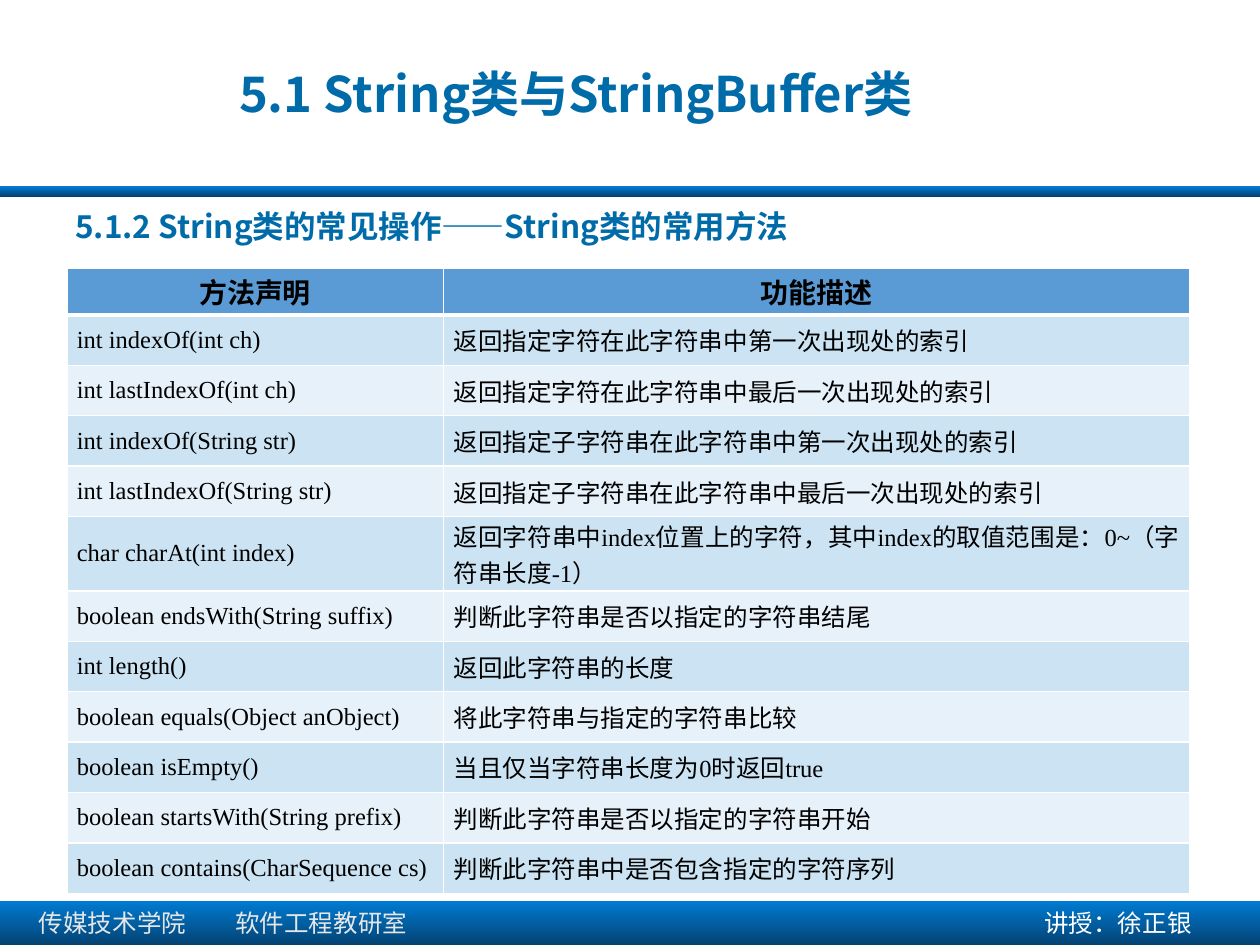
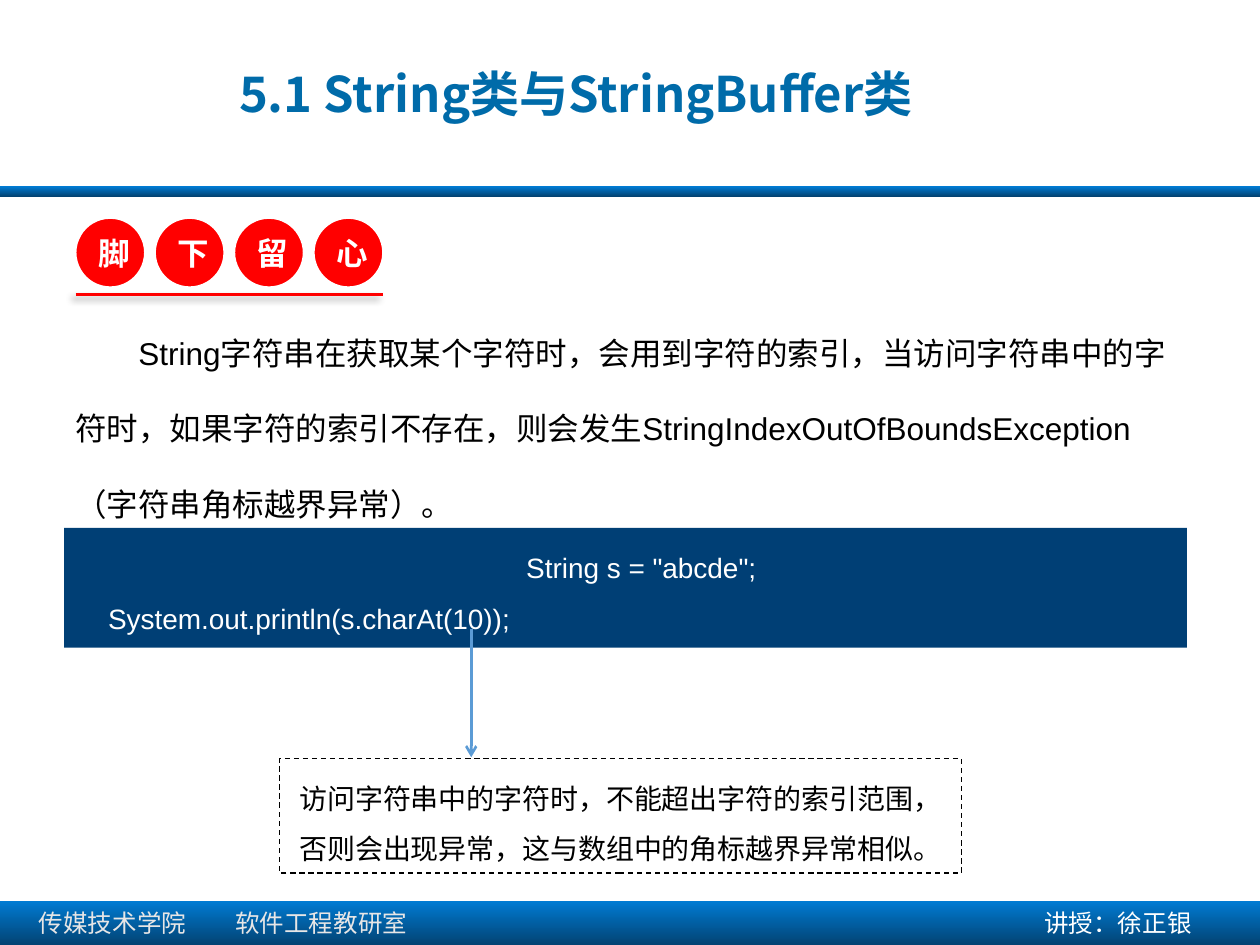
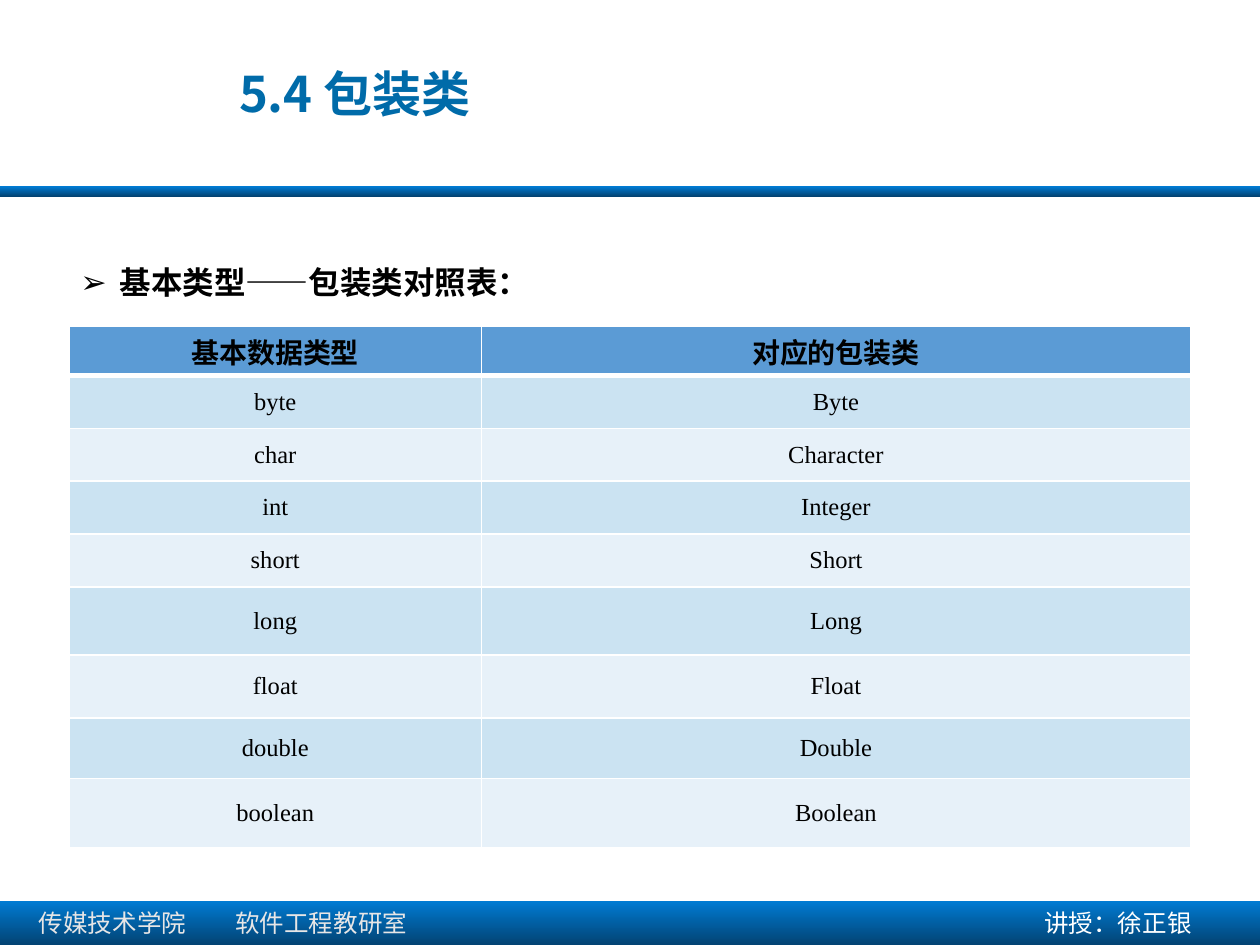
from lxml import etree
from pptx import Presentation
from pptx.dml.color import RGBColor
from pptx.enum.dml import MSO_LINE
from pptx.enum.shapes import MSO_CONNECTOR, MSO_SHAPE
from pptx.enum.text import MSO_ANCHOR, MSO_AUTO_SIZE, PP_ALIGN
from pptx.oxml.ns import qn
from pptx.util import Inches, Pt

RECT, OVAL = MSO_SHAPE.RECTANGLE, MSO_SHAPE.OVAL
STRAIGHT, DASH = MSO_CONNECTOR.STRAIGHT, MSO_LINE.DASH
TOP, MIDDLE = MSO_ANCHOR.TOP, MSO_ANCHOR.MIDDLE
CENTER, JUSTIFY = PP_ALIGN.CENTER, PP_ALIGN.JUSTIFY
GROW, FIXED = MSO_AUTO_SIZE.SHAPE_TO_FIT_TEXT, MSO_AUTO_SIZE.NONE

BLACK = RGBColor(0x00, 0x00, 0x00)
WHITE = RGBColor(0xFF, 0xFF, 0xFF)
SILVER = RGBColor(0xE7, 0xE6, 0xE6)
RED = RGBColor(0xFF, 0x00, 0x00)
TITLE_BLUE = RGBColor(0x00, 0x6B, 0xA9)
BAND_TOP = RGBColor(0x00, 0x7B, 0xD3)
BAND_BOTTOM = RGBColor(0x03, 0x43, 0x73)
CODE_BLUE = RGBColor(0x00, 0x3F, 0x75)
HEADER_BLUE = RGBColor(0x5B, 0x9B, 0xD5)
ROW_TINTS = RGBColor(0xCB, 0xE3, 0xF2), RGBColor(0xE7, 0xF1, 0xF9)

SANS, CJK, BODY, SERIF = "Arial", "Noto Sans CJK SC", "Calibri", "Times New Roman"

# The slide is a grid of 100 columns by 75 rows
COLUMNS, ROWS = 100, 75
WIDTH, HEIGHT = Inches(10), Inches(7.5)


def add_xml(parent, tag, **attributes):
    return etree.SubElement(parent, qn(tag), attributes)


class Deck:
    """The house style and the slide being drawn."""

    def __init__(self):
        self.deck = Presentation()
        self.deck.slide_width, self.deck.slide_height = WIDTH, HEIGHT
        self.slide = None

    def grid(self, *lengths):
        units = WIDTH / COLUMNS, HEIGHT / ROWS
        return [round(n * units[i % 2]) for i, n in enumerate(lengths)]

    def start(self, title):
        self.slide = self.deck.slides.add_slide(self.deck.slide_layouts[6])
        for top, height in ((14.8, 0.8), (71.5, 3.5)):
            self.band(top, height)
        department = self.text((2.1, 71.6, 37.8, 3.4), "传媒技术学院\t软件工程教研室",
                               size=14, color=SILVER, grow=True)
        tabs = add_xml(department.text_frame.paragraphs[0]._p.get_or_add_pPr(), "a:tabLst")
        add_xml(tabs, "a:tab", pos=str(Inches(1.56)), algn="l")
        self.text((81.9, 71.6, 17.8, 3.4), "讲授：徐正银", size=14, color=WHITE, grow=True)
        self.text((18, 4.3, 58.3, 6.1), title, font=CJK, size=28, color=TITLE_BLUE,
                  bold=True, anchor=MIDDLE, indent=(0.62, -0.62))

    def band(self, top, height):
        band = self.shape(RECT, (0, top, COLUMNS, height))
        band.fill.gradient()
        band.fill.gradient_angle = 270
        for stop, color in zip(band.fill.gradient_stops, (BAND_TOP, BAND_BOTTOM)):
            stop.color.rgb = color

    def shape(self, kind, box, fill=None, line=None, weight=1):
        shape = self.slide.shapes.add_shape(kind, *self.grid(*box))
        shape.shadow.inherit = False
        for part, color in ((shape.fill, fill), (shape.line.fill, line)):
            if color is None:
                part.background()
            else:
                part.solid()
                part.fore_color.rgb = color
        if line is not None:
            shape.line.width = Pt(weight)
        return shape

    def text(self, box, content, **style):
        holder = self.slide.shapes.add_textbox(*self.grid(*box))
        self.put_text(holder.text_frame, content, **style)
        return holder

    def put_text(self, frame, content, anchor=TOP, grow=False, **style):
        """Content is text with one paragraph a line, or a list of (text, font) runs."""
        settings = {"word_wrap": True, "vertical_anchor": anchor,
                    "auto_size": GROW if grow else FIXED}
        for name, value in settings.items():
            setattr(frame, name, value)
        lines = content.split("\n") if isinstance(content, str) else [content]
        for number, line in enumerate(lines):
            paragraph = frame.add_paragraph() if number else frame.paragraphs[0]
            self.paragraph(paragraph, line, **style)

    def paragraph(self, paragraph, line, font=SANS, size=18, color=BLACK, bold=False,
                  indent=None, bullet=None, **layout):
        for name, value in layout.items():
            setattr(paragraph, name, value)
        properties = paragraph._p.get_or_add_pPr()
        if indent:
            for name, inches in zip(("marL", "indent"), indent):
                properties.set(name, str(Inches(inches)))
        if bullet:
            add_xml(properties, "a:buFont", typeface=SANS)
            add_xml(properties, "a:buChar", char=bullet)
        for words, face in [(line, font)] if isinstance(line, str) else line:
            run = paragraph.add_run()
            run.text = words
            for name, value in {"name": face, "size": Pt(size), "bold": bold}.items():
                setattr(run.font, name, value)
            run.font.color.rgb = color
            add_xml(run._r.get_or_add_rPr(), "a:ea", typeface=CJK)

    def line(self, ends, color, arrow=False, shadow=False):
        line = self.slide.shapes.add_connector(STRAIGHT, *self.grid(*ends))
        line.line.color.rgb = color
        line.line.width = Pt(1.5)
        if arrow:
            add_xml(line._element.spPr.find(qn("a:ln")), "a:tailEnd", type="arrow")
        effects = add_xml(line._element.spPr, "a:effectLst")
        if shadow:
            outer = add_xml(effects, "a:outerShdw", blurRad=str(Pt(4)), dist=str(Pt(3)),
                            dir=str(135 * 60000), algn="tr", rotWithShape="0")
            add_xml(add_xml(outer, "a:srgbClr", val=str(BLACK)), "a:alpha", val="40000")

    def table(self, box, widths, heights, rows, header_font, side, align):
        table = self.slide.shapes.add_table(len(rows), len(widths), *self.grid(*box)).table
        for column, width in zip(table.columns, widths):
            column.width = Inches(width)
        for row, height in zip(table.rows, heights):
            row.height = Inches(height)
        for r, values in enumerate(rows):
            for c, value in enumerate(values):
                self.cell(table.cell(r, c), r, value, header_font, side, align)

    def cell(self, cell, row, value, header_font, side, align):
        header = row == 0
        margin = Inches(0.07 if header else side)
        settings = {"margin_left": margin, "margin_right": margin, "margin_top": 0,
                    "margin_bottom": 0, "vertical_anchor": MIDDLE}
        for name, setting in settings.items():
            setattr(cell, name, setting)
        self.paragraph(cell.text_frame.paragraphs[0], value, bold=header,
                       font=header_font if header else SERIF, size=16 if header else 14,
                       alignment=CENTER if header else align)
        # Borders come before the fill; the rule under the header is thicker
        properties = cell._tc.get_or_add_tcPr()
        weights = {"L": 1, "R": 1, "T": 3 if row == 1 else 1, "B": 3 if header else 1}
        for edge, weight in weights.items():
            border = add_xml(properties, "a:ln" + edge, w=str(Pt(weight)))
            add_xml(add_xml(border, "a:solidFill"), "a:srgbClr", val=str(WHITE))
        cell.fill.solid()
        cell.fill.fore_color.rgb = HEADER_BLUE if header else ROW_TINTS[(row - 1) % 2]


deck = Deck()
STRING_TITLE = "5.1 String类与StringBuffer类"

# Slide 1: common String methods
deck.start(STRING_TITLE)
deck.text((5, 15.9, 90, 7.1), "5.1.2 String类的常见操作——String类的常用方法",
          font=CJK, color=TITLE_BLUE, bold=True)
methods = [
    ("方法声明", "功能描述"),
    ("int indexOf(int ch)", "返回指定字符在此字符串中第一次出现处的索引"),
    ("int lastIndexOf(int ch)", "返回指定字符在此字符串中最后一次出现处的索引"),
    ("int indexOf(String str)", "返回指定子字符串在此字符串中第一次出现处的索引"),
    ("int lastIndexOf(String str)", "返回指定子字符串在此字符串中最后一次出现处的索引"),
    ("char charAt(int index)",
     "返回字符串中index位置上的字符，其中index的取值范围是：0~（字符串长度-1）"),
    ("boolean endsWith(String suffix)", "判断此字符串是否以指定的字符串结尾"),
    ("int length()", "返回此字符串的长度"),
    ("boolean equals(Object anObject)", "将此字符串与指定的字符串比较"),
    ("boolean isEmpty()", "当且仅当字符串长度为0时返回true"),
    ("boolean startsWith(String prefix)", "判断此字符串是否以指定的字符串开始"),
    ("boolean contains(CharSequence cs)", "判断此字符串中是否包含指定的字符序列"),
]
deck.table((5.3, 21.3, 89.2, 49.4), (2.99, 5.92), [0.37] + [0.4] * 4 + [0.59] + [0.4] * 6,
           methods, header_font=BODY, side=0.08, align=JUSTIFY)

# Slide 2: index out of bounds
deck.start(STRING_TITLE)
deck.text((5, 23, 89.2, 19.2), [
    ("String字符", SANS),
    ("串在获取某个字符时，会用到字符的索引，当访问字符串中的字符时，"
     "如果字符的索引不存在，则会发生", BODY),
    ("StringIndexOutOfBoundsException（字", SANS),
    ("符串角标越界异常）。", BODY),
], grow=True, indent=(0, 0.5), line_spacing=2.0)

code = deck.shape(RECT, (5.1, 41.9, 89.1, 9.5), fill=CODE_BLUE)
deck.put_text(code.text_frame, 'String s = "abcde";\nSystem.out.println(s.charAt(10));',
              size=16, color=WHITE, indent=(0.25, 0), line_spacing=1.5)
deck.line((37.4, 49.9, 37.4, 60.1), HEADER_BLUE, arrow=True)

warning = deck.shape(RECT, (22.2, 60.2, 54.1, 9.1), line=BLACK, weight=0.75)
warning.line.dash_style = DASH
deck.put_text(warning.text_frame,
              "访问字符串中的字符时，不能超出字符的索引范围，否则会出现异常，"
              "这与数组中的角标越界异常相似。",
              font=BODY, size=16, grow=True, alignment=CENTER, line_spacing=1.5,
              space_before=Pt(10))

# Red badge: four discs over a rule
for place, character in enumerate("脚下留心"):
    disc = deck.shape(OVAL, (6 + 6.3 * place, 17.3, 5.5, 5.5), fill=RED, line=WHITE)
    deck.put_text(disc.text_frame, character, font=CJK, color=WHITE, bold=True,
                  anchor=MIDDLE, alignment=CENTER)
deck.line((6, 23.4, 30.4, 23.4), RED, shadow=True)

# Slide 3: primitive types and their wrappers
deck.start("5.4 包装类")
deck.text((5.4, 17.4, 89.2, 7.1), "基本类型——包装类对照表：", bold=True, grow=True,
          indent=(0.31, -0.31), bullet="➢", line_spacing=2.0)
wrappers = [
    ("基本数据类型", "对应的包装类"),
    ("byte", "Byte"), ("char", "Character"), ("int", "Integer"), ("short", "Short"),
    ("long", "Long"), ("float", "Float"), ("double", "Double"), ("boolean", "Boolean"),
]
deck.table((5.5, 25.9, 89, 41.4), (3.27, 5.63), [0.39] + [0.42] * 4 + [0.54, 0.5, 0.48, 0.55],
           wrappers, header_font=SERIF, side=0.07, align=CENTER)

deck.deck.save("out.pptx")
